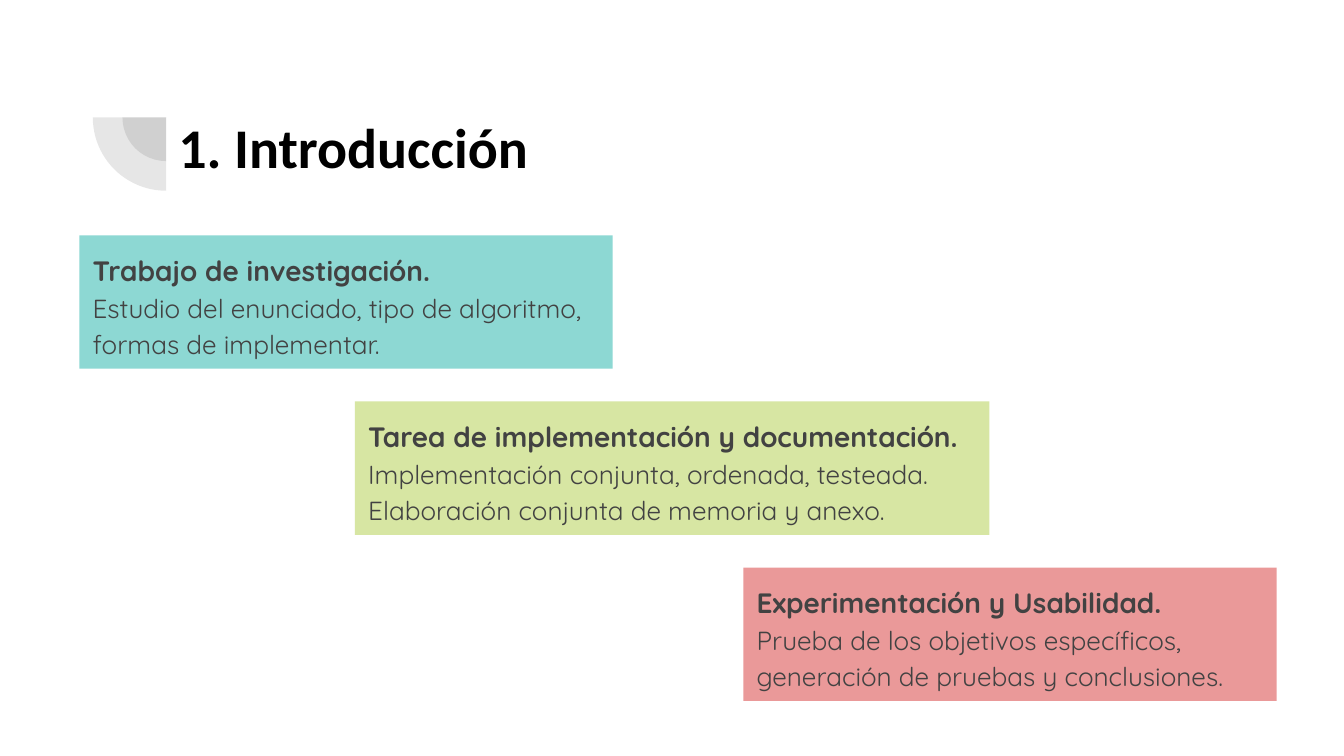
from lxml.etree import SubElement
from pptx import Presentation
from pptx.dml.color import RGBColor
from pptx.enum.shapes import MSO_SHAPE as Shape
from pptx.enum.text import MSO_ANCHOR as Anchor, PP_ALIGN as Align
from pptx.oxml.ns import qn
from pptx.util import Cm, Pt

GREY = "424242"


def paint(color_format, hex_color):
    color_format.rgb = RGBColor.from_string(hex_color)


def write(paragraph, text, color, **font_values):
    run = paragraph.add_run()
    run.text = text
    for name, value in font_values.items():
        setattr(run.font, name, value)
    paint(run.font.color, color)


deck = Presentation()
deck.slide_width, deck.slide_height = Cm(25.4), Cm(14.29)
slide = deck.slides.add_slide(deck.slide_layouts[6])

# Concentric quarter circles beside the heading
center_x, center_y = 3.14, 2.22
for diameter in (1.65, 2.77):
    quarter = slide.shapes.add_shape(
        Shape.PIE, Cm(center_x - diameter / 2), Cm(center_y - diameter / 2),
        Cm(diameter), Cm(diameter))
    quarter.adjustments[0], quarter.adjustments[1] = 108, 162
    quarter.rotation = 270
    quarter.shadow.inherit = False
    quarter.line.fill.background()
    quarter.fill.solid()
    paint(quarter.fill.fore_color, GREY)
    tint = quarter.fill._xPr.find(".//" + qn("a:srgbClr"))
    SubElement(tint, qn("a:alpha"), val="13000")

# Heading
heading = slide.shapes.add_textbox(Cm(3.12), Cm(2.13), Cm(10.49), Cm(2.31))
heading_format = {"word_wrap": True, "vertical_anchor": Anchor.TOP,
                  "margin_left": Cm(0.25), "margin_right": Cm(0.25),
                  "margin_top": 0, "margin_bottom": 0}
for name, value in heading_format.items():
    setattr(heading.text_frame, name, value)
write(heading.text_frame.paragraphs[0], "1. Introducción", "000000",
      name="Calibri", size=Pt(30), bold=True)

# Three stages, stepping down to the right
stages = [
    (1.5, 10.08, "8DD8D3", "Trabajo de investigación.",
     "Estudio del enunciado, tipo de algoritmo, formas de implementar."),
    (6.71, 11.99, "D7E6A3", "Tarea de implementación y documentación.",
     "Implementación conjunta, ordenada, testeada. "
     "Elaboración conjunta de memoria y anexo."),
    (14.05, 10.08, "EA9999", "Experimentación y Usabilidad.",
     "Prueba de los objetivos específicos, "
     "generación de pruebas y conclusiones."),
]
first_top, step, stage_height = 4.45, 3.14, 2.52
stage_format = {"word_wrap": True, "vertical_anchor": Anchor.TOP}
for side in ("left", "right", "top", "bottom"):
    stage_format["margin_" + side] = Cm(0.25)

for row, (left, width, color, title, detail) in enumerate(stages):
    stage = slide.shapes.add_shape(
        Shape.RECTANGLE, Cm(left), Cm(first_top + row * step),
        Cm(width), Cm(stage_height))
    stage.shadow.inherit = False
    stage.line.fill.background()
    stage.fill.solid()
    paint(stage.fill.fore_color, color)
    frame = stage.text_frame
    for name, value in stage_format.items():
        setattr(frame, name, value)
    title_line, detail_line = frame.paragraphs[0], frame.add_paragraph()
    for line, text, size, bold in ((title_line, title, 15, True),
                                   (detail_line, detail, 14, False)):
        line.alignment = Align.LEFT
        line.line_spacing = 1.15
        write(line, text, GREY, name="Quicksand", size=Pt(size), bold=bold)
    detail_line.space_after = Pt(16)

deck.save("out.pptx")
